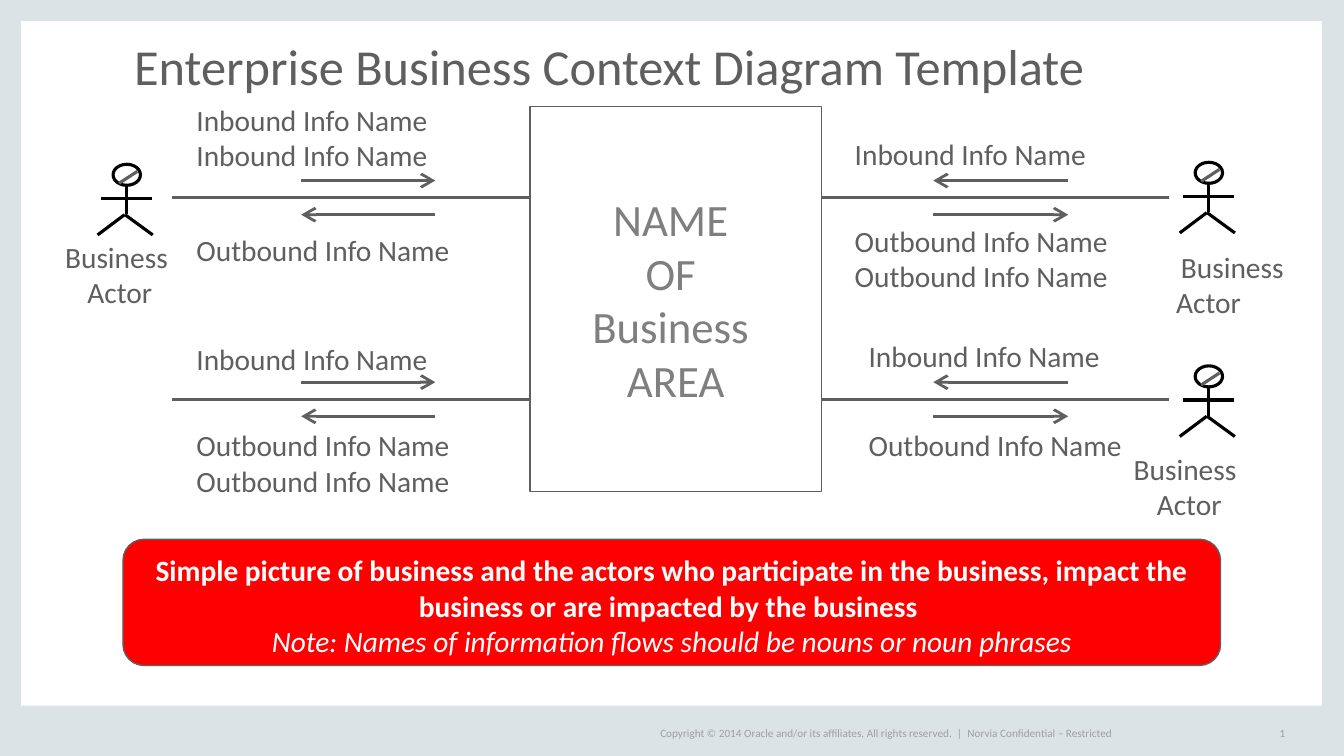
from lxml.etree import SubElement
from pptx import Presentation
from pptx.dml.color import RGBColor
from pptx.enum.shapes import MSO_CONNECTOR, MSO_SHAPE
from pptx.enum.text import MSO_ANCHOR, MSO_AUTO_SIZE, PP_ALIGN
from pptx.oxml.ns import qn
from pptx.util import Cm, Pt

FRAME = RGBColor(0xDC, 0xE3, 0xE4)
GREY = RGBColor(0x5F, 0x5F, 0x5F)
AREA_GREY = RGBColor(0x7F, 0x7F, 0x7F)
FOOTER_GREY = RGBColor(0x9F, 0x9F, 0x9F)
BLACK = RGBColor(0, 0, 0)
WHITE = RGBColor(0xFF, 0xFF, 0xFF)
RED = RGBColor(0xFF, 0, 0)

LEFT, CENTER, RIGHT = PP_ALIGN.LEFT, PP_ALIGN.CENTER, PP_ALIGN.RIGHT


def write(frame, lines, size, color, insets, aligns=(LEFT,), anchor=MSO_ANCHOR.TOP, wrap=True):
    """Fill a text frame, one paragraph a line; a single alignment serves all lines."""
    frame.word_wrap = wrap
    frame.auto_size = MSO_AUTO_SIZE.NONE
    frame.vertical_anchor = anchor
    frame.margin_left = frame.margin_right = Cm(insets[0])
    frame.margin_top = frame.margin_bottom = Cm(insets[1])
    for index, line in enumerate(lines):
        paragraph = frame.add_paragraph() if index else frame.paragraphs[0]
        paragraph.alignment = aligns[index % len(aligns)]
        run = paragraph.add_run()
        run.text = line
        run.font.name = "Calibri"
        run.font.size = Pt(size)
        run.font.color.rgb = color


def add_line(shapes, x1, y1, x2, y2, color=GREY, width=2, arrow=False):
    line = shapes.add_connector(MSO_CONNECTOR.STRAIGHT, Cm(x1), Cm(y1), Cm(x2), Cm(y2))
    line.line.color.rgb = color
    line.line.width = Pt(width)
    if arrow:
        SubElement(line.line._get_or_add_ln(), qn("a:tailEnd"), type="arrow", w="lg", len="lg")
    SubElement(line._element.spPr, qn("a:effectLst"))


presentation = Presentation()
presentation.slide_width = Cm(33.87)
presentation.slide_height = Cm(19.05)
slide = presentation.slides.add_slide(presentation.slide_layouts[5])
shapes = slide.shapes

# Slide frame
for x, y, width, height in [
    (0, 0, 0.53, 19.05),
    (33.32, 0, 0.55, 19.05),
    (0, 17.78, 33.87, 1.27),
    (0, 0, 33.87, 0.53),
]:
    border = shapes.add_shape(MSO_SHAPE.RECTANGLE, Cm(x), Cm(y), Cm(width), Cm(height))
    border.shadow.inherit = False
    border.fill.solid()
    border.fill.fore_color.rgb = FRAME
    border.line.fill.background()

# Title
title = shapes.title
title.left, title.top, title.width, title.height = Cm(3.38), Cm(0.91), Cm(30.48), Cm(1.5)
write(title.text_frame, ["Enterprise Business Context Diagram Template"], 36, GREY, (0, 0),
      anchor=MSO_ANCHOR.BOTTOM)
title.text_frame.paragraphs[0].line_spacing = 0.8

# Business actors: figure centre and top, then label place, lines and alignment
LIMBS = [
    (0, 0.51, 0, 1.25, BLACK),
    (-0.04, 1.27, -0.72, 1.78, BLACK),
    (-0.64, 0.86, 0.64, 0.86, BLACK),
    (-0.03, 1.27, 0.67, 1.78, BLACK),
    (0.28, 0.18, -0.18, 0.48, GREY),
]
for center, top, label_x, label_y, label_width, lines, aligns in [
    (30.45, 9.22, 28.32, 11.23, 3.3, ["Business", "Actor"], (LEFT, CENTER)),
    (3.18, 4.14, 1.37, 5.89, 3.3, ["Business ", "Actor"], (CENTER, CENTER)),
    (30.45, 4.09, 29.39, 6.15, 3.5, ["Business ", "Actor"], (CENTER, LEFT)),
]:
    actor = shapes.add_group_shape().shapes
    head = actor.add_shape(MSO_SHAPE.OVAL, Cm(center - 0.33), Cm(top), Cm(0.69), Cm(0.53))
    head.shadow.inherit = False
    head.fill.background()
    head.line.color.rgb = BLACK
    head.line.width = Pt(2.25)
    for x1, y1, x2, y2, color in LIMBS:
        add_line(actor, center + x1, top + y1, center + x2, top + y2, color, 2.25)
    label = actor.add_textbox(Cm(label_x), Cm(label_y), Cm(label_width), Cm(2.06))
    write(label.text_frame, lines, 21, GREY, (0.25, 0.13), aligns, wrap=False)

# Flow lines, each with an inbound arrow above and an outbound arrow below on both sides
for flow_y in (4.98, 10.06):
    add_line(shapes, 4.34, flow_y, 29.46, flow_y)
    for outer, inner in ((7.59, 10.97), (26.92, 23.52)):
        add_line(shapes, outer, flow_y - 0.43, inner, flow_y - 0.43, arrow=True)
        add_line(shapes, inner, flow_y + 0.43, outer, flow_y + 0.43, arrow=True)

# Business area and explanatory banner
area = shapes.add_shape(MSO_SHAPE.RECTANGLE, Cm(13.36), Cm(2.69), Cm(7.34), Cm(9.7))
banner = shapes.add_shape(MSO_SHAPE.ROUNDED_RECTANGLE, Cm(3.1), Cm(13.59), Cm(27.66), Cm(3.18))
for panel, fill in ((area, WHITE), (banner, RED)):
    panel.shadow.inherit = False
    panel.fill.solid()
    panel.fill.fore_color.rgb = fill
    panel.line.color.rgb = GREY
    panel.line.width = Pt(1)
write(area.text_frame, ["NAME ", "OF ", "Business ", "AREA"], 32, AREA_GREY, (0.33, 0.18),
      (CENTER,), MSO_ANCHOR.MIDDLE)
write(banner.text_frame, [
    "Simple picture of business and the actors who participate in the business, "
    "impact the business or are impacted by the business ",
    "Note: Names of information flows should be nouns or noun phrases",
], 21, WHITE, (0.33, 0.18), (CENTER,))
statement, note = banner.text_frame.paragraphs
statement.runs[0].font.bold = True
note.runs[0].font.italic = True

# Names of the information flows
for x, y, width, direction, count in [
    (4.62, 2.39, 7.9, "Inbound", 2),
    (4.62, 5.66, 8.74, "Outbound", 1),
    (21.21, 3.25, 8.05, "Inbound", 1),
    (21.21, 5.44, 8.05, "Outbound", 2),
    (4.62, 8.41, 9.6, "Inbound", 1),
    (4.62, 10.59, 8.46, "Outbound", 2),
    (21.56, 8.33, 7.44, "Inbound", 1),
    (21.56, 10.59, 8.89, "Outbound", 1),
]:
    flow = shapes.add_textbox(Cm(x), Cm(y), Cm(width), Cm(0.36 + 0.89 * count))
    write(flow.text_frame, [f"{direction} Info Name"] * count, 21, GREY, (0.33, 0.18))

# Footer
for x, width, text, align in [
    (16.64, 7.75, "Copyright © 2014 Oracle and/or its affiliates. All rights reserved.  |", LEFT),
    (24.38, 6.93, "Norvia Confidential – Restricted", LEFT),
    (31.32, 1.07, "1", RIGHT),
]:
    footer = shapes.add_textbox(Cm(x), Cm(18.21), Cm(width), Cm(0.51))
    write(footer.text_frame, [text], 8, FOOTER_GREY, (0, 0), (align,), MSO_ANCHOR.MIDDLE, False)

presentation.save("out.pptx")
